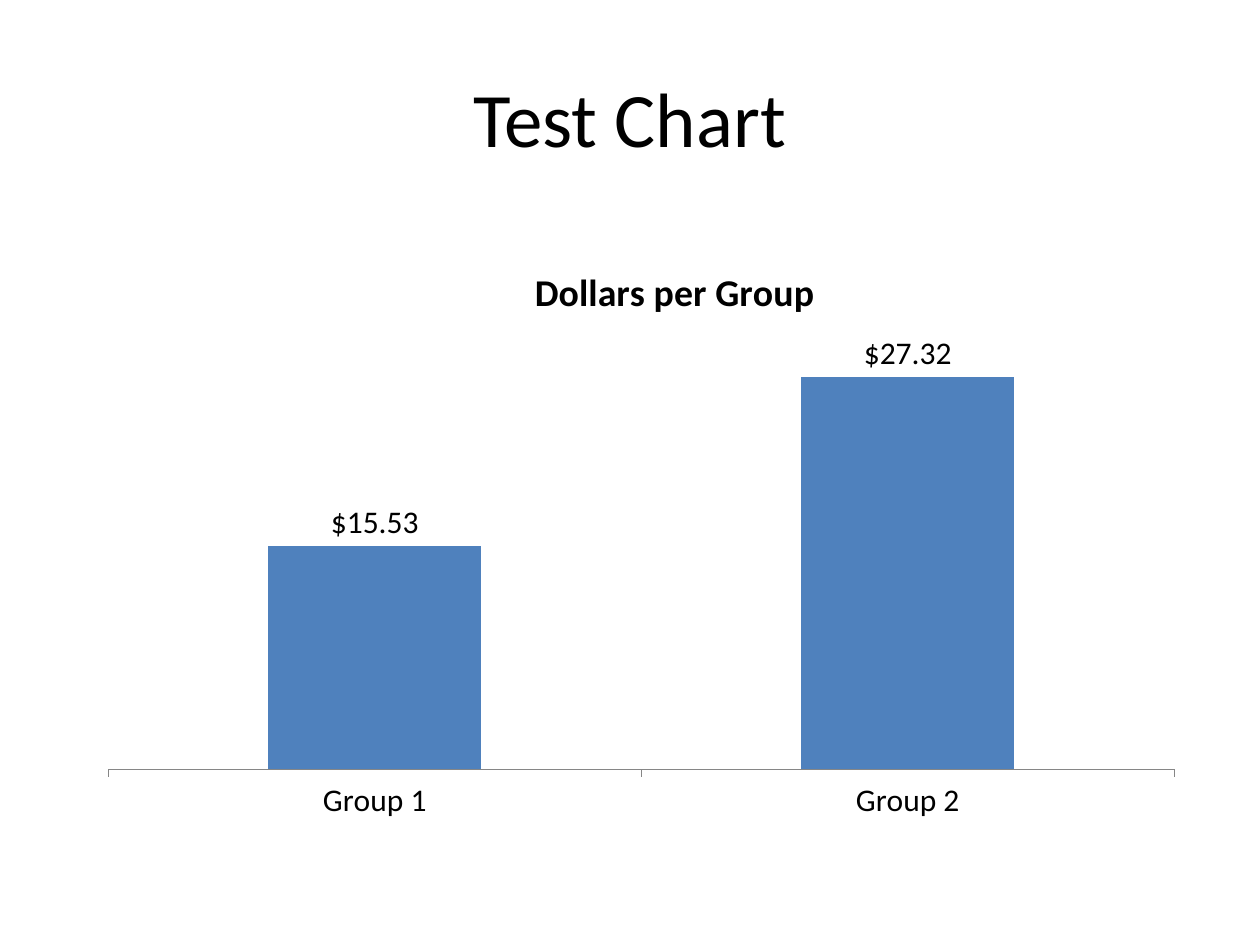
"""Build a slide with a title and a column chart of dollars per group."""
from lxml import etree
from pptx import Presentation
from pptx.chart.data import CategoryChartData
from pptx.dml.color import RGBColor
from pptx.enum import chart as kinds, text
from pptx.oxml.ns import qn
from pptx.util import Inches, Pt

FONT = "Calibri"
BLACK = RGBColor(0x00, 0x00, 0x00)
BLUE = RGBColor(0x4F, 0x81, 0xBD)
GRAY = RGBColor(0x86, 0x86, 0x86)


def style_font(font, size, bold=False):
    font.name = FONT
    font.size = Pt(size)
    font.bold = bold
    font.color.rgb = BLACK


def add_text(page, words, left, top, width, height, size):
    box = page.shapes.add_textbox(Inches(left), Inches(top), Inches(width), Inches(height))
    frame = box.text_frame
    frame.word_wrap = True
    frame.vertical_anchor = text.MSO_ANCHOR.MIDDLE
    para = frame.paragraphs[0]
    para.alignment = text.PP_ALIGN.CENTER
    span = para.add_run()
    span.text = words
    style_font(span.font, size)


def set_layout(parent, index, **settings):
    for old in parent.findall(qn("c:layout")):
        parent.remove(old)
    layout = etree.Element(qn("c:layout"))
    manual = etree.SubElement(layout, qn("c:manualLayout"))
    for name, value in settings.items():
        etree.SubElement(manual, qn(f"c:{name}")).set("val", str(value))
    parent.insert(index, layout)


def style_axes(chart):
    values = chart.value_axis
    values.visible = False
    values.has_major_gridlines = False
    values.minimum_scale = 0
    values.maximum_scale = 30
    groups = chart.category_axis
    groups.major_tick_mark = kinds.XL_TICK_MARK.OUTSIDE
    groups.format.line.color.rgb = GRAY
    groups.format.line.width = Pt(0.75)


def style_columns(plot):
    plot.gap_width = 150
    plot.vary_by_categories = False
    fill = plot.series[0].format.fill
    fill.solid()
    fill.fore_color.rgb = BLUE
    plot.has_data_labels = True
    labels = plot.data_labels
    labels.show_value = True
    labels.number_format = '"$"#,##0.00'
    labels.number_format_is_linked = False
    labels.position = kinds.XL_LABEL_POSITION.OUTSIDE_END
    style_font(labels.font, 18)


def add_column_chart(page, name, groups, values, left, top, width, height):
    data = CategoryChartData()
    data.categories = groups
    data.add_series(name, values)
    chart = page.shapes.add_chart(
        kinds.XL_CHART_TYPE.COLUMN_CLUSTERED,
        Inches(left), Inches(top), Inches(width), Inches(height), data).chart
    style_font(chart.font, 18)
    chart.has_legend = False
    chart.has_title = True
    para = chart.chart_title.text_frame.paragraphs[0]
    span = para.add_run()
    span.text = name
    style_font(span.font, 21.6, bold=True)
    style_axes(chart)
    style_columns(chart.plots[0])
    root = chart._chartSpace
    set_layout(root.find(".//" + qn("c:title")), 1,
               xMode="edge", yMode="edge", x=0.41, y=0.06)
    set_layout(root.find(".//" + qn("c:plotArea")), 0,
               layoutTarget="inner", xMode="edge", yMode="edge",
               x=0.04, y=0.19, w=0.94, h=0.69)


def main():
    deck = Presentation()
    deck.slide_width, deck.slide_height = Inches(10), Inches(7.5)
    page = deck.slides.add_slide(deck.slide_layouts[6])
    add_text(page, "Test Chart", 0.5, 0.3, 9, 1.25, size=44)
    add_column_chart(page, "Dollars per Group", ["Group 1", "Group 2"],
                     [15.53, 27.32], 0.5, 1.75, 9, 4.95)
    deck.save("out.pptx")


if __name__ == "__main__":
    main()
